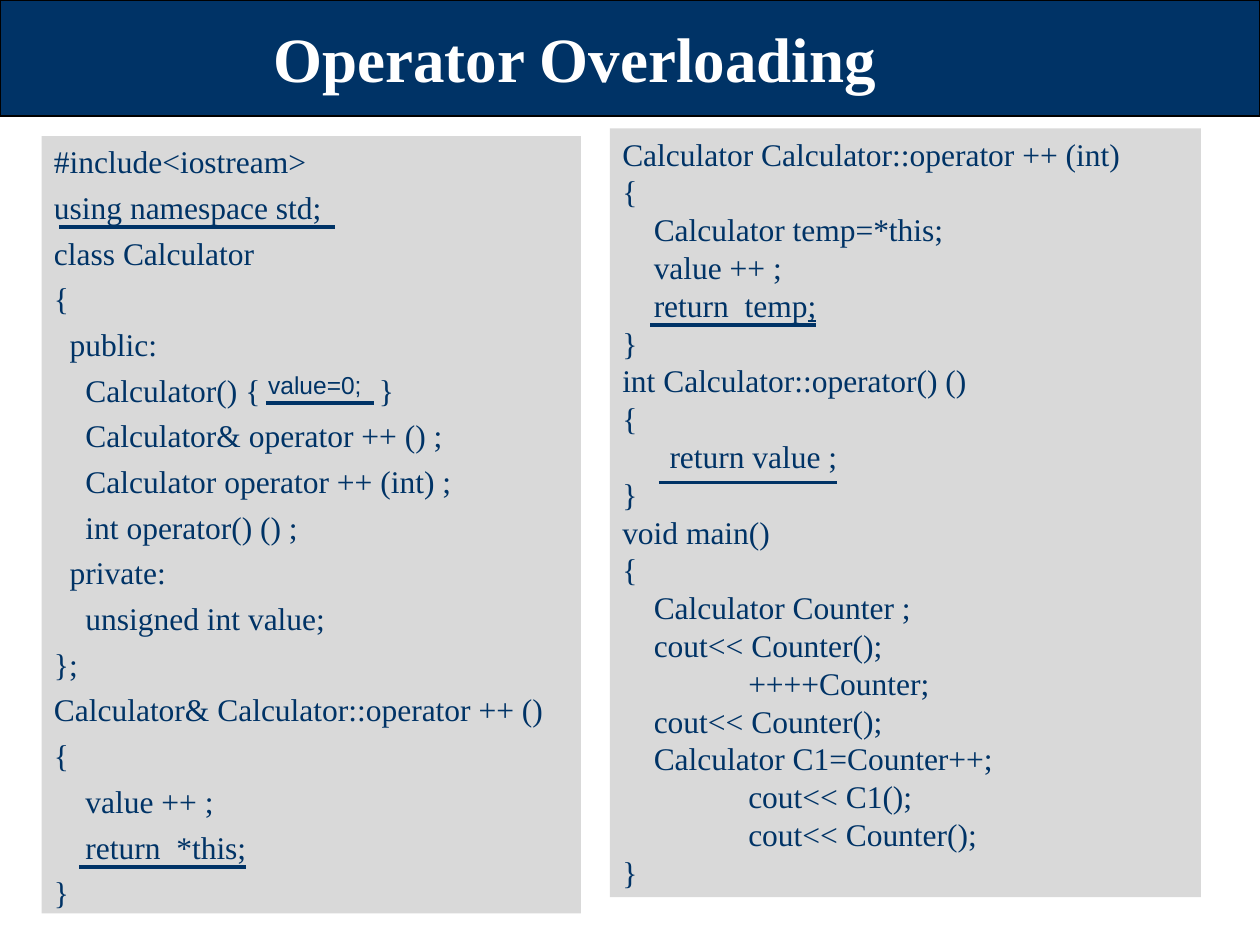
from pptx import Presentation
from pptx.dml.color import RGBColor
from pptx.enum.shapes import MSO_CONNECTOR as Conn, MSO_SHAPE as Shape
from pptx.enum.text import MSO_ANCHOR as Anchor, PP_ALIGN as Align
from pptx.oxml.ns import qn
from pptx.util import Inches, Pt
from lxml.etree import SubElement

NAVY = RGBColor(0x00, 0x33, 0x66)
GRAY = RGBColor(0xD9, 0xD9, 0xD9)
WHITE = RGBColor(0xFF, 0xFF, 0xFF)
BLACK = RGBColor(0x00, 0x00, 0x00)
SERIF, SANS = "Times New Roman", "Arial"
COLS, ROWS = 100, 75
STEP = 0.0625  # one column of code indent, in inches
BLANK = 63     # extra width of the space left for an answer, in points

# Code lines: (indent in columns, text, underlined text); | is a blank to fill
CLASS = [
    (0, "#include<iostream>"), (0, "using namespace std;"),
    (0, "class Calculator"), (0, "{"), (2, "public:"),
    (4, "Calculator() {|}"), (4, "Calculator& operator ++ () ;"),
    (4, "Calculator operator ++ (int) ;"), (4, "int operator() () ;"),
    (2, "private:"), (4, "unsigned int value;"), (0, "};"),
    (0, "Calculator& Calculator::operator ++ ()"), (0, "{"),
    (4, "value ++ ;"), (4, "return  *this;"), (0, "}"),
]
MAIN = [
    (0, "Calculator Calculator::operator ++ (int)"), (0, "{"),
    (4, "Calculator temp=*this;"), (4, "value ++ ;"),
    (4, "return  temp", ";"), (0, "}"),
    (0, "int Calculator::operator() ()"), (0, "{"),
    (6, "return value ;"), (0, "}"), (0, "void main()"), (0, "{"),
    (4, "Calculator Counter ;"), (4, "cout<< Counter();"),
    (16, "++++Counter;"), (4, "cout<< Counter();"),
    (4, "Calculator C1=Counter++;"), (16, "cout<< C1();"),
    (16, "cout<< Counter();"), (0, "}"),
]


class Deck:
    def __init__(self):
        self.prs = Presentation()
        self.prs.slide_width, self.prs.slide_height = Inches(10), Inches(7.5)
        self.slide = self.prs.slides.add_slide(self.prs.slide_layouts[5])
        self.shapes = self.slide.shapes

    def grid(self, x, y, *size):
        """Turn columns and rows into slide lengths."""
        units = (self.prs.slide_width / COLS, self.prs.slide_height / ROWS)
        return [round(n * units[i % 2]) for i, n in enumerate((x, y) + size)]

    def run(self, para, text, size, font=SERIF, color=NAVY):
        run = para.add_run()
        run.text = text
        run.font.size, run.font.name = Pt(size), font
        run.font.color.rgb = color
        return run

    def rect(self, box, fill, line=None):
        rect = self.shapes.add_shape(Shape.RECTANGLE, *self.grid(*box))
        rect.shadow.inherit = False
        rect.fill.solid()
        rect.fill.fore_color.rgb = fill
        if line is None:
            rect.line.fill.background()
        else:
            rect.line.color.rgb, rect.line.width = line, Pt(0.75)
        return rect

    def title(self, box, text):
        title = self.shapes.title
        self.shapes._spTree.append(title._element)  # in front of the bar
        title.left, title.top, title.width, title.height = self.grid(*box)
        frame = title.text_frame
        frame.vertical_anchor = Anchor.MIDDLE
        para = frame.paragraphs[0]
        para.alignment = Align.CENTER
        self.run(para, text, 36, color=WHITE).font.bold = True

    def code(self, box, lines, gap=0):
        frame = self.rect(box, GRAY).text_frame
        frame.word_wrap = True
        frame.vertical_anchor = Anchor.TOP
        for i, (cols, text, *marked) in enumerate(lines):
            para = frame.add_paragraph() if i else frame.paragraphs[0]
            para.alignment = Align.LEFT
            para.space_before = Pt(gap)
            props = para._p.get_or_add_pPr()
            props.set("marL", "0")
            props.set("indent", str(Inches(cols * STEP)))
            head, blank, tail = text.partition("|")
            self.run(para, head, 18)
            if blank:
                space = self.run(para, " ", 18)
                space._r.get_or_add_rPr().set("spc", str(BLANK * 100))
                self.run(para, tail, 18)
            for part in marked:
                self.run(para, part, 18).font.underline = True

    def label(self, box, text):
        frame = self.shapes.add_textbox(*self.grid(*box)).text_frame
        frame.word_wrap = False
        self.run(frame.paragraphs[0], text, 14, SANS)

    def rule(self, x, end, y):
        ends = self.grid(x, y, end, y)
        rule = self.shapes.add_connector(Conn.STRAIGHT, *ends)
        rule.line.color.rgb, rule.line.width = NAVY, Pt(2)
        SubElement(rule._element.spPr, qn("a:effectLst"))


deck = Deck()

# Heading
deck.rect((0, 0, 100, 9.2), NAVY, BLACK)
deck.title((2.5, 0.8, 87.5, 7.5), "Operator Overloading ")

# Code panels
deck.code((3.3, 10.8, 42.8, 61.7), CLASS, gap=4.5)
deck.code((48.4, 10.2, 46.9, 61), MAIN)

# Filled-in answer and underlines
deck.label((20.3, 28.9, 9.4, 3.4), "value=0;")
for rule in [(4.7, 26.6, 18), (21.1, 29.7, 32), (6.3, 19.5, 68.8),
             (51.6, 64.8, 25.8), (52.3, 66.4, 38.3)]:
    deck.rule(*rule)

deck.prs.save("out.pptx")
